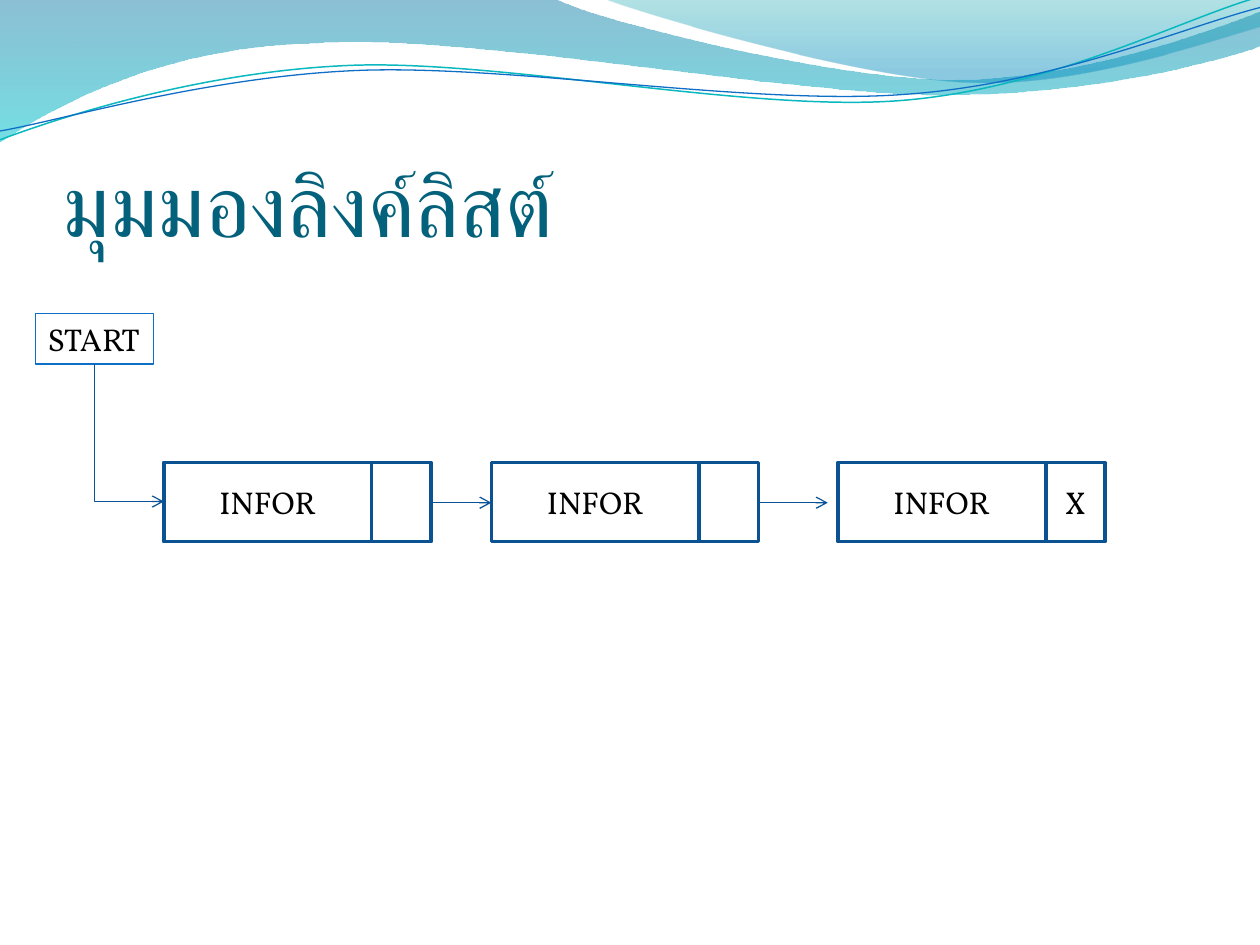
from dataclasses import dataclass
from lxml import etree
from pptx import Presentation
from pptx import util as u
from pptx.dml.color import RGBColor
from pptx.enum import shapes, text
from pptx.oxml.ns import qn

INK, NODE_LINE, ARROW_LINE = "000000", "0B5292", "095295"
BODY_FONT = "Vollkorn"
NODE_TOP, NODE_HEIGHT, INFO_WIDTH, LINK_WIDTH = 3.67, 0.63, 1.65, 0.47
ARROW_Y = 3.99


@dataclass
class Wave:
    start: tuple[float, float]
    segments: list[tuple[float, ...]]
    stops: tuple[tuple[int, str, int], ...] = ()
    line: str = ""
    weight: float = 0


@dataclass
class Node:
    left: float
    link: str = ""


@dataclass
class Arrow:
    start: tuple[float, float]
    end: tuple[float, float]


WAVES = [
    Wave((0, 0), [(4.4, -0.01), (4.76, 0.17, 6.64, 0.63, 7.58, 0.63),
                  (8.53, 0.63, 9.58, 0.26, 10, 0.09), (10.01, 0.36),
                  (9.83, 0.44, 8.7, 0.76, 7.46, 0.75),
                  (6.22, 0.75, 3.82, 0.28, 2.57, 0.34),
                  (1.29, 0.36, 0.46, 0.83, -0.01, 1.13)],
         stops=((0, "0074A1", 45), (100, "00C6CF", 55))),
    Wave((4.79, -0.01), [(5.09, 0.11, 6.82, 0.62, 7.69, 0.65),
                         (8.56, 0.69, 9.61, 0.32, 10, 0.21), (10, 0)],
         stops=((0, "00A1A9", 30), (80, "008BBF", 45))),
    Wave((0, 1.11), [(0.48, 0.93, 1.58, 0.57, 2.77, 0.52),
                     (3.95, 0.47, 5.93, 0.89, 7.13, 0.8),
                     (8.33, 0.71, 9.38, 0.15, 9.98, -0.02)],
         line="0AB8BF", weight=0.85),
    Wave((0, 1.04), [(0.47, 0.96, 1.64, 0.61, 2.83, 0.56),
                     (4.03, 0.51, 5.97, 0.84, 7.17, 0.75),
                     (8.36, 0.67, 9.41, 0.21, 10, 0.06)],
         line="0F6FC6", weight=0.75),
]
NODES = [Node(1.3), Node(3.9), Node(6.65, "X")]
ARROWS = [Arrow((3.43, ARROW_Y), (3.9, ARROW_Y)),
          Arrow((6.02, ARROW_Y), (6.57, ARROW_Y))]


def color(value: str) -> RGBColor:
    return RGBColor.from_string(value)


def style_line(line, value: str, weight: float) -> None:
    line.color.rgb = color(value)
    line.width = u.Pt(weight)


def write(shape, words: str, *, size=18, font=BODY_FONT, ink=INK,
          align=text.PP_ALIGN.LEFT, anchor=text.MSO_ANCHOR.TOP, wrap=True) -> None:
    frame = shape.text_frame
    frame.word_wrap = wrap
    frame.vertical_anchor = anchor
    paragraph = frame.paragraphs[0]
    paragraph.alignment = align
    run = paragraph.add_run()
    run.text = words
    run.font.size = u.Pt(size)
    run.font.name = font
    run.font.color.rgb = color(ink)


def bend_curves(shape, segments: list[tuple[float, ...]]) -> None:
    straight = iter(list(shape._element.iter(qn("a:lnTo"))))
    for segment in segments:
        steps = [next(straight) for _ in range(len(segment) // 2)]
        if len(steps) == 3:
            curve = etree.Element(qn("a:cubicBezTo"))
            steps[0].addprevious(curve)
            for step in steps:
                curve.append(step[0])
                step.getparent().remove(step)


def draw_wave(slide, wave: Wave) -> None:
    points = [(u.Inches(x), u.Inches(y)) for segment in wave.segments
              for x, y in zip(segment[::2], segment[1::2])]
    builder = slide.shapes.build_freeform(*map(u.Inches, wave.start))
    builder.add_line_segments(points, close=bool(wave.stops))
    shape = builder.convert_to_shape()
    shape.shadow.inherit = False
    bend_curves(shape, wave.segments)
    if not wave.stops:
        shape.fill.background()
        style_line(shape.line, wave.line, wave.weight)
        return
    shape.line.fill.background()
    shape.fill.gradient()
    shape.fill.gradient_angle = 270
    for stop, (position, value, opacity) in zip(shape.fill.gradient_stops, wave.stops):
        stop.position = position / 100
        stop.color.rgb = color(value)
    tints = shape._element.spPr.find(qn("a:gradFill")).iter(qn("a:srgbClr"))
    for tint, (_, _, opacity) in zip(tints, wave.stops):
        etree.SubElement(tint, qn("a:alpha"), val=str(opacity * 1000))


def draw_cell(slide, left: float, width: float, words: str) -> None:
    cell = slide.shapes.add_shape(
        shapes.MSO_SHAPE.RECTANGLE, u.Inches(left), u.Inches(NODE_TOP),
        u.Inches(width), u.Inches(NODE_HEIGHT))
    cell.shadow.inherit = False
    cell.fill.solid()
    cell.fill.fore_color.rgb = color("FFFFFF")
    style_line(cell.line, NODE_LINE, 2)
    if words:
        write(cell, words, align=text.PP_ALIGN.CENTER, anchor=text.MSO_ANCHOR.MIDDLE)


def draw_node(slide, node: Node) -> None:
    draw_cell(slide, node.left, INFO_WIDTH, "INFOR")
    draw_cell(slide, node.left + INFO_WIDTH, LINK_WIDTH, node.link)


def draw_arrow(slide, arrow: Arrow, kind=shapes.MSO_CONNECTOR.STRAIGHT):
    connector = slide.shapes.add_connector(
        kind, *map(u.Inches, (*arrow.start, *arrow.end)))
    style_line(connector.line, ARROW_LINE, 0.75)
    properties = connector._element.spPr
    etree.SubElement(properties.find(qn("a:ln")), qn("a:tailEnd"), type="arrow")
    etree.SubElement(properties, qn("a:effectLst"))
    return connector


def draw_start(slide) -> None:
    start = slide.shapes.add_textbox(*map(u.Inches, (0.28, 2.49, 0.94, 0.4)))
    style_line(start.line, "0F6FC6", 0.75)
    write(start, "START", wrap=False)
    start.text_frame.auto_size = text.MSO_AUTO_SIZE.SHAPE_TO_FIT_TEXT
    elbow = draw_arrow(slide, Arrow((1.57, 3.16), (0.48, 3.71)),
                       shapes.MSO_CONNECTOR.ELBOW)
    properties = elbow._element.spPr
    properties.find(qn("a:xfrm")).set("rot", str(270 * 60000))
    properties.find(qn("a:prstGeom")).set("prst", "bentConnector2")


def draw_title(slide) -> None:
    title = slide.shapes.add_textbox(*map(u.Inches, (0.5, 0.77, 9, 1.25)))
    write(title, "มุมมองลิงค์ลิสต์", size=50, font="Calibri", ink="04617B",
          anchor=text.MSO_ANCHOR.BOTTOM)
    title.text_frame.margin_left = title.text_frame.margin_right = 0
    title.text_frame.margin_bottom = 0


def main() -> None:
    deck = Presentation()
    deck.slide_width, deck.slide_height = u.Inches(10), u.Inches(7.5)
    slide = deck.slides.add_slide(deck.slide_layouts[6])
    for wave in WAVES:
        draw_wave(slide, wave)
    draw_title(slide)
    draw_start(slide)
    for node in NODES:
        draw_node(slide, node)
    for arrow in ARROWS:
        draw_arrow(slide, arrow)
    deck.save("out.pptx")


if __name__ == "__main__":
    main()
